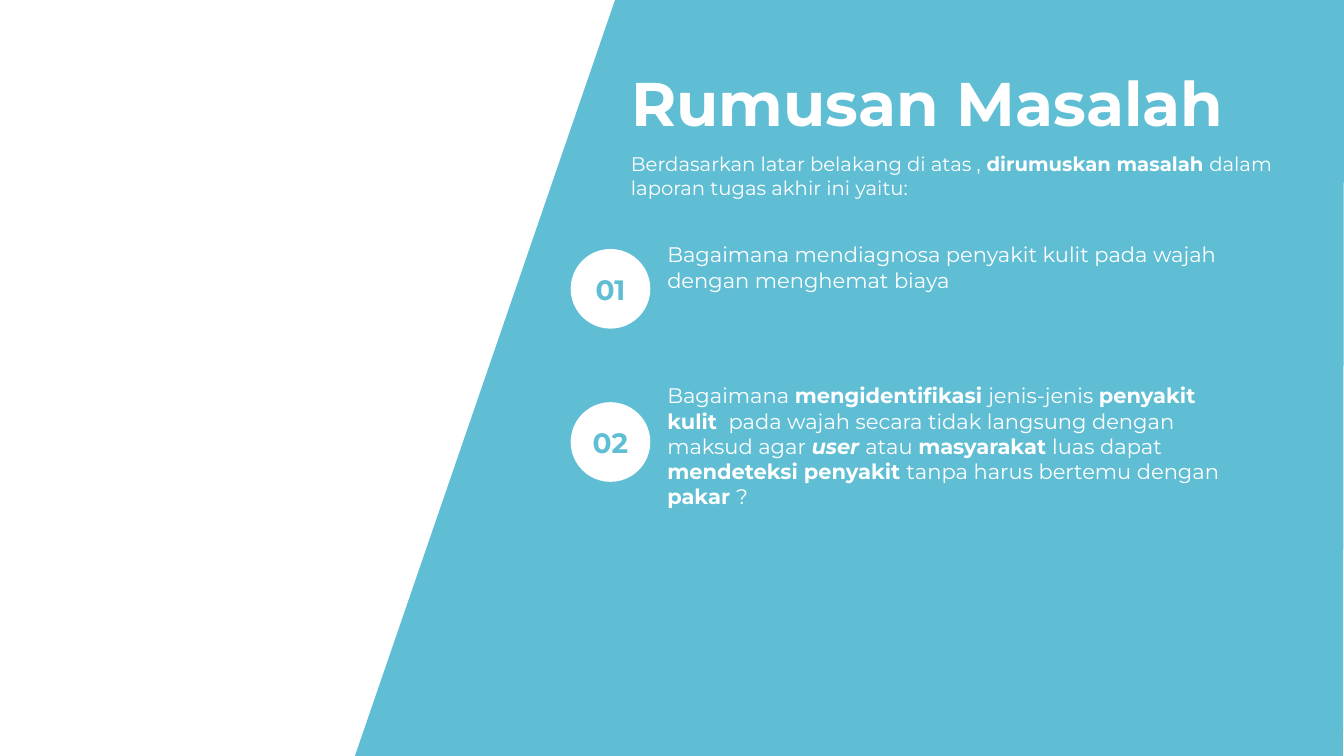
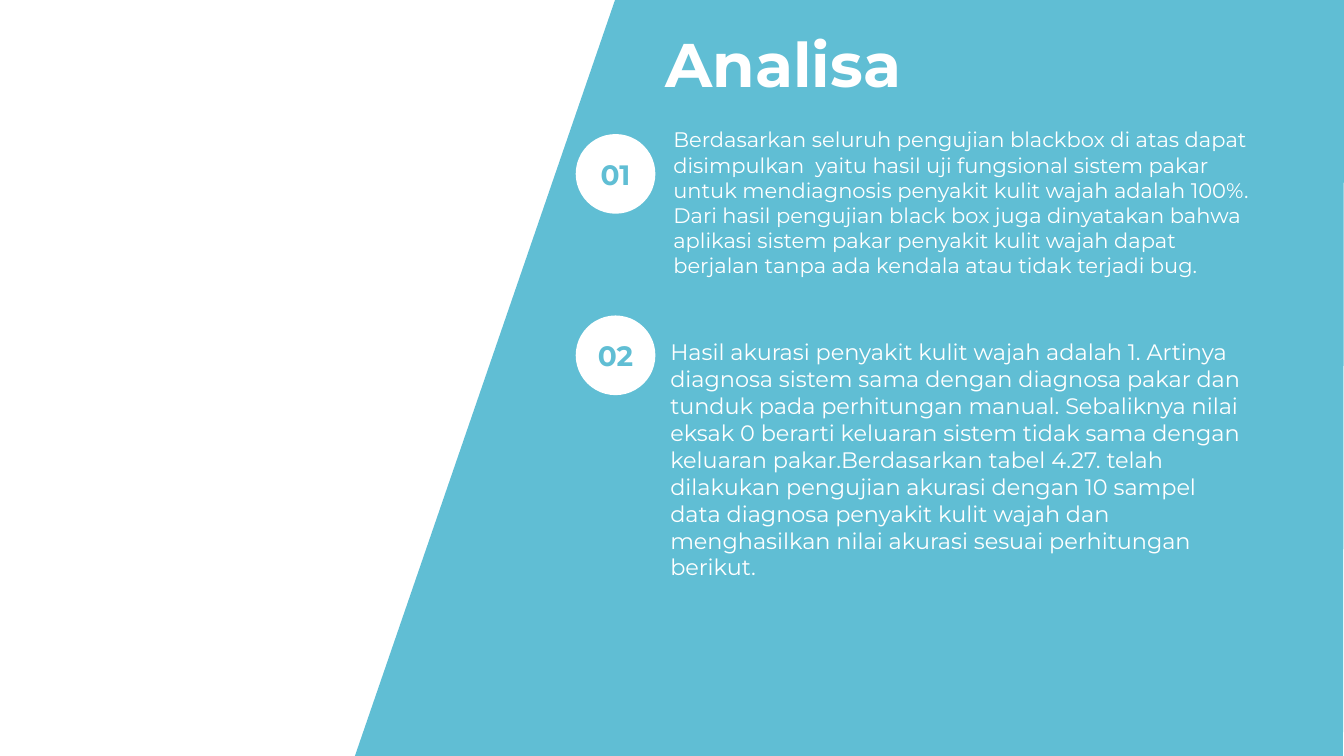
from pptx import Presentation
from pptx.dml.color import RGBColor
from pptx.enum.shapes import MSO_SHAPE
from pptx.enum.text import MSO_ANCHOR, PP_ALIGN
from pptx.util import Inches, Pt

BLUE = RGBColor(0x60, 0xBE, 0xD4)
WHITE = RGBColor(0xFF, 0xFF, 0xFF)
FONT = "Montserrat"
BADGE = 0.79  # circle diameter
TEXT_W = 5.94  # width of an item's text
TITLE_LAYOUT = 5

# Text is a list of (text, style) runs: "b" is bold, "i" is italic
INTRO = [
    ("Berdasarkan latar belakang di atas , ", ""),
    ("dirumuskan masalah ", "b"),
    ("dalam laporan tugas akhir ini yaitu:", ""),
]
COST = [("Bagaimana mendiagnosa penyakit kulit pada wajah dengan menghemat biaya", "")]
IDENTIFY = [
    ("Bagaimana ", ""), ("mengidentifikasi ", "b"), ("jenis-jenis ", ""),
    ("penyakit kulit ", "b"),
    (" pada wajah secara tidak langsung dengan maksud agar ", ""),
    ("user ", "bi"), ("atau ", ""), ("masyarakat ", "b"), ("luas dapat ", ""),
    ("mendeteksi penyakit ", "b"), ("tanpa harus bertemu dengan ", ""),
    ("pakar ", "b"), ("?", ""),
]
TESTING = [(
    "Berdasarkan seluruh pengujian blackbox di atas dapat disimpulkan  yaitu "
    "hasil uji fungsional sistem pakar untuk mendiagnosis penyakit kulit wajah "
    "adalah 100%. Dari hasil pengujian black box juga dinyatakan bahwa aplikasi "
    "sistem pakar penyakit kulit wajah dapat berjalan tanpa ada kendala atau "
    "tidak terjadi bug.", "")]
ACCURACY = [(
    "Hasil akurasi penyakit kulit wajah adalah 1. Artinya diagnosa sistem sama "
    "dengan diagnosa pakar dan tunduk pada perhitungan manual. Sebaliknya nilai "
    "eksak 0 berarti keluaran sistem tidak sama dengan keluaran pakar."
    "Berdasarkan tabel 4.27. telah dilakukan pengujian akurasi dengan 10 sampel "
    "data diagnosa penyakit kulit wajah dan menghasilkan nilai akurasi sesuai "
    "perhitungan berikut.", "")]


def write(tf, runs, size, color=WHITE, align=PP_ALIGN.LEFT, anchor=MSO_ANCHOR.TOP):
    """Fill a text frame with one paragraph of formatted runs."""
    tf.word_wrap = True
    tf.vertical_anchor = anchor
    p = tf.paragraphs[0]
    p.alignment = align
    for text, style in runs:
        r = p.add_run()
        r.text = text
        r.font.name = FONT
        r.font.size = Pt(size)
        r.font.color.rgb = color
        r.font.bold = "b" in style
        r.font.italic = "i" in style


def paint(sp, color):
    sp.shadow.inherit = False
    sp.fill.solid()
    sp.fill.fore_color.rgb = color
    sp.line.fill.background()


def add_band(slide):
    """Draw the slanted band and move it to the slide's layout."""
    builder = slide.shapes.build_freeform(Inches(6.1), 0)
    corners = [(13.33, 0), (13.32, 7.5), (3.52, 7.5)]
    builder.add_line_segments([(Inches(x), Inches(y)) for x, y in corners])
    sp = builder.convert_to_shape()
    paint(sp, BLUE)
    slide.slide_layout.shapes.element.insert(2, sp.element)


def add_title(slide, text, left, top):
    sp = slide.shapes.title
    sp.left, sp.top = Inches(left), Inches(top)
    sp.width, sp.height = Inches(6.77), Inches(0.84)
    write(sp.text_frame, [(text, "b")], 44, anchor=MSO_ANCHOR.MIDDLE)


def add_text(slide, runs, left, top, width, height, size):
    sp = slide.shapes.add_textbox(
        Inches(left), Inches(top), Inches(width), Inches(height))
    write(sp.text_frame, runs, size)


def add_badge(slide, number, left, top):
    sp = slide.shapes.add_shape(
        MSO_SHAPE.OVAL, Inches(left), Inches(top), Inches(BADGE), Inches(BADGE))
    paint(sp, WHITE)
    tf = sp.text_frame
    tf.margin_left = tf.margin_right = 0
    write(tf, [(f"{number:02}", "b")], 20, BLUE, PP_ALIGN.CENTER, MSO_ANCHOR.MIDDLE)


def add_items(slide, left, items):
    """Place numbered items; each is (badge top, text left, top, height, size, runs)."""
    for number, (badge_top, text_left, top, height, size, runs) in enumerate(items, 1):
        add_badge(slide, number, left, badge_top)
        add_text(slide, runs, text_left, top, TEXT_W, height, size)


def problem_slide(slide):
    add_title(slide, "Rumusan Masalah", 6.16, 0.59)
    add_text(slide, INTRO, 6.16, 1.46, 6.74, 0.57, 14)
    add_items(slide, 5.66, [
        (2.47, 6.52, 2.35, 0.61, 15, COST),
        (3.99, 6.52, 3.75, 1.36, 15, IDENTIFY),
    ])


def analysis_slide(slide):
    add_title(slide, "Analisa", 6.5, 0.2)
    add_items(slide, 5.71, [
        (1.33, 6.58, 1.21, 1.62, 15, TESTING),
        (3.13, 6.55, 3.31, 2.52, 16, ACCURACY),
    ])


def main():
    prs = Presentation()
    prs.slide_width, prs.slide_height = Inches(13.33), Inches(7.5)
    layout = prs.slide_layouts[TITLE_LAYOUT]
    problem, analysis = (prs.slides.add_slide(layout) for _ in range(2))
    add_band(problem)
    problem_slide(problem)
    analysis_slide(analysis)
    prs.save("out.pptx")


if __name__ == "__main__":
    main()
